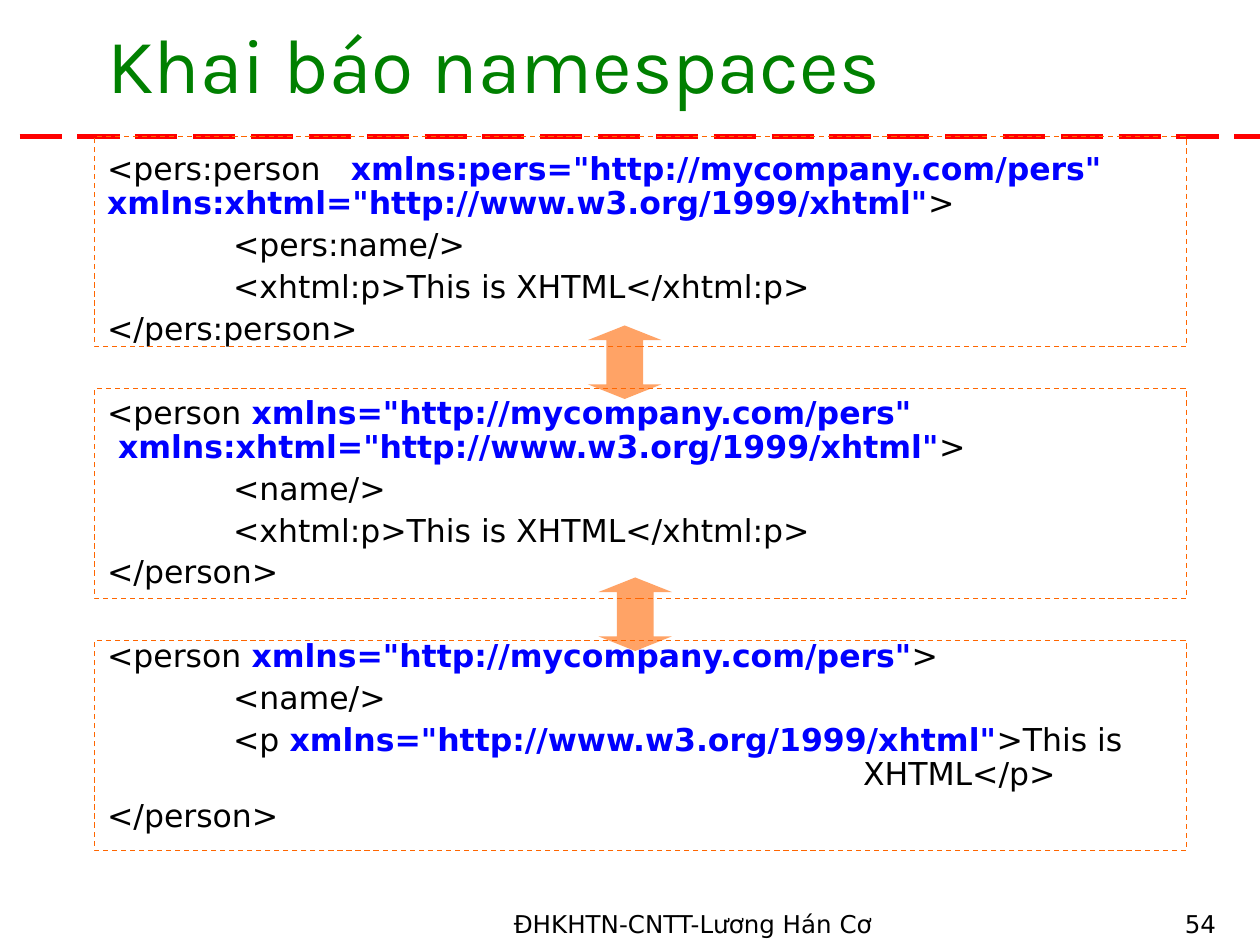
"""Build the slide on three equivalent XML namespace declarations."""
from pptx import Presentation, util as u
from pptx.dml.color import RGBColor
from pptx.enum import dml, shapes, text
from pptx.oxml.ns import qn
from lxml import etree

THEME = {
    "title": ("Karla", 44, "008000"),
    "code": ("DejaVu Sans", 18, "000000"),
    "declaration": ("DejaVu Sans", 18, "0000FF"),
    "footer": ("DejaVu Sans", 14, "000000"),
    "rule": "FF0000",
    "accent": "FF6600",
}
TITLE = "Khai báo namespaces"
DECLARATION = "*"
FLUSH, NESTED, NESTED_HANGING = (0, 0), (96, 96), (96, 576)
LISTINGS = [
    [
        ('<pers:person   *xmlns:pers="http://mycompany.com/pers"'
         '\vxmlns:xhtml="http://www.w3.org/1999/xhtml"*>', FLUSH),
        ("<pers:name/>", NESTED),
        ("<xhtml:p>This is XHTML</xhtml:p>", NESTED),
        ("</pers:person>", FLUSH),
    ],
    [
        ('<person *xmlns="http://mycompany.com/pers"'
         '\v xmlns:xhtml="http://www.w3.org/1999/xhtml"*>', FLUSH),
        ("<name/>", NESTED),
        ("<xhtml:p>This is XHTML</xhtml:p>", NESTED),
        ("</person>", FLUSH),
    ],
    [
        ('<person *xmlns="http://mycompany.com/pers"*>', FLUSH),
        ("<name/>", NESTED),
        ('<p *xmlns="http://www.w3.org/1999/xhtml"*>This is\vXHTML</p>', NESTED_HANGING),
        ("</person>", FLUSH),
    ],
]
FOOTERS = [
    ("ĐHKHTN-CNTT-Lương Hán Cơ", (376, 688, 304, 24), text.PP_ALIGN.CENTER),
    ("54", (736, 688, 200, 24), text.PP_ALIGN.RIGHT),
]
FRAME = (72, 104, 832, 160)
FRAME_PITCH = 192
ARROWS = [(448, 248, 56, 56), (456, 248 + FRAME_PITCH, 56, 56)]
ARROW_SHAPE = {"adj1": 50000, "adj2": 19900}
LINE_GAP, LISTING_GAP = 4.5, 28.5


def px(value):
    return u.Emu(value * 9525)


def place(part, box):
    part.left, part.top, part.width, part.height = map(px, box)


def style(run, role):
    name, size, colour = THEME[role]
    run.font.name, run.font.size = name, u.Pt(size)
    run.font.color.rgb = RGBColor.from_string(colour)
    run.font.bold = role == "declaration"


def outline(line, colour, width, dash):
    line.color.rgb = RGBColor.from_string(colour)
    line.width, line.dash_style = u.Pt(width), dash


def add_title(title):
    place(title, (72, 8, 864, 80))
    title.text_frame.text = TITLE
    title.text_frame.vertical_anchor = text.MSO_ANCHOR.MIDDLE
    heading = title.text_frame.paragraphs[0]
    heading.alignment = text.PP_ALIGN.LEFT
    style(heading.runs[0], "title")


def write_code(paragraph, code, indents, gap):
    first, rest = indents
    paragraph.line_spacing, paragraph.space_before = 0.9, u.Pt(gap)
    props = paragraph._p.get_or_add_pPr()
    props.set("marL", str(px(rest)))
    props.set("indent", str(px(first - rest)))
    etree.SubElement(props, qn("a:buNone"))
    for order, part in enumerate(code.split(DECLARATION)):
        for row, piece in enumerate(part.split("\v")):
            if row:
                paragraph.add_line_break()
            run = paragraph.add_run()
            run.text = piece
            style(run, "declaration" if order % 2 else "code")
    for line_break in paragraph._p.findall(qn("a:br")):
        etree.SubElement(line_break, qn("a:rPr"), sz=str(THEME["code"][1] * 100))


def add_listings(body):
    place(body, (72, 112, 867, 560))
    lines = [
        (code, indents, LINE_GAP if row else LISTING_GAP if order else 0)
        for order, listing in enumerate(LISTINGS)
        for row, (code, indents) in enumerate(listing)
    ]
    body.text_frame.text = "\n" * (len(lines) - 1)
    body.text_frame.auto_size = text.MSO_AUTO_SIZE.NONE
    body.text_frame.vertical_anchor = text.MSO_ANCHOR.TOP
    for paragraph, line in zip(body.text_frame.paragraphs, lines):
        write_code(paragraph, *line)


def add_rule(slide):
    rule = slide.shapes.add_connector(
        shapes.MSO_CONNECTOR.STRAIGHT, px(15), px(104), px(960), px(104))
    outline(rule.line, THEME["rule"], 3, dml.MSO_LINE.LONG_DASH)
    etree.SubElement(rule._element.spPr, qn("a:effectLst"))


def add_footers(slide):
    for words, box, alignment in FOOTERS:
        footer = slide.shapes.add_textbox(*map(px, box)).text_frame
        footer.word_wrap = True
        footer.text = words
        footer.paragraphs[0].alignment = alignment
        style(footer.paragraphs[0].runs[0], "footer")


def add_frames(slide):
    left, top, width, height = FRAME
    for order in range(len(LISTINGS)):
        box = (left, top + order * FRAME_PITCH, width, height)
        frame = slide.shapes.add_shape(shapes.MSO_SHAPE.RECTANGLE, *map(px, box))
        frame.shadow.inherit = False
        frame.fill.background()
        outline(frame.line, THEME["accent"], 0.75, dml.MSO_LINE.DASH)


def add_arrows(slide):
    for box in ARROWS:
        arrow = slide.shapes.add_shape(shapes.MSO_SHAPE.UP_DOWN_ARROW, *map(px, box))
        arrow.shadow.inherit = False
        arrow.line.fill.background()
        arrow.fill.solid()
        arrow.fill.fore_color.rgb = RGBColor.from_string(THEME["accent"])
        props = arrow._element.spPr
        colour = props.find(qn("a:solidFill"))[0]
        etree.SubElement(colour, qn("a:alpha"), val="60000")
        guides = props.find(qn("a:prstGeom")).find(qn("a:avLst"))
        for guide in list(guides):
            guides.remove(guide)
        for name, value in ARROW_SHAPE.items():
            etree.SubElement(guides, qn("a:gd"), name=name, fmla=f"val {value}")


def main():
    deck = Presentation()
    deck.slide_width, deck.slide_height = px(960), px(720)
    slide = deck.slides.add_slide(deck.slide_layouts[1])
    add_rule(slide)
    add_footers(slide)
    add_title(slide.shapes.title)
    add_listings(slide.placeholders[1])
    add_frames(slide)
    add_arrows(slide)
    deck.save("out.pptx")


if __name__ == "__main__":
    main()
